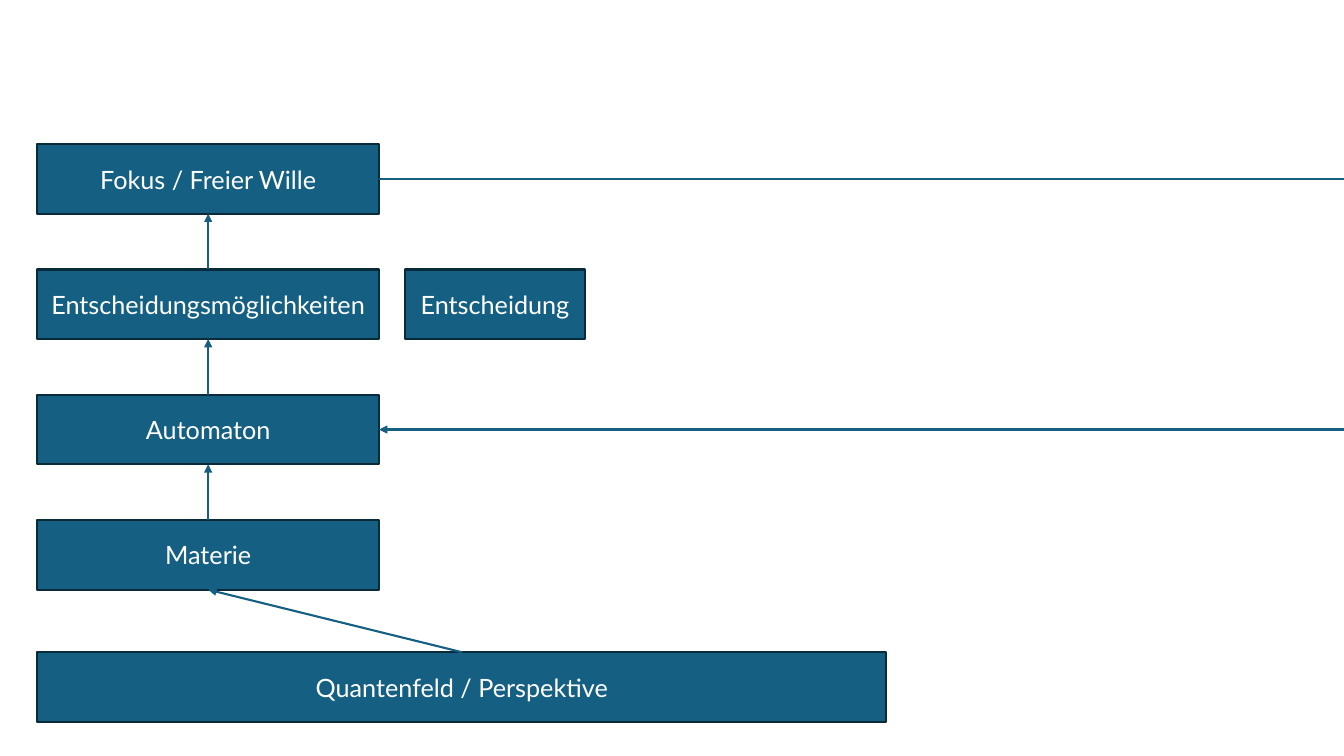
import itertools

import pptx
import pptx.dml.color
import pptx.enum.shapes
import pptx.enum.text
import pptx.oxml
import pptx.oxml.ns
import pptx.util

Inches = pptx.util.Inches
TOP, LEFT, BOTTOM, RIGHT = range(4)
SLIDE_W, SLIDE_H = 13.33, 7.5
BOX_H = 0.69
BLUE, NAVY, WHITE = "156082", "092A39", "FFFFFF"


def color(value):
    return pptx.dml.color.RGBColor.from_string(value)


def add_box(slide, text, left, top, width):
    sp = slide.shapes.add_shape(
        pptx.enum.shapes.MSO_SHAPE.RECTANGLE,
        Inches(left), Inches(top), Inches(width), Inches(BOX_H))
    sp.shadow.inherit = False
    sp.fill.solid()
    sp.fill.fore_color.rgb = color(BLUE)
    sp.line.color.rgb = color(NAVY)
    sp.line.width = pptx.util.Pt(1.5)
    tf = sp.text_frame
    tf.word_wrap = True
    tf.vertical_anchor = pptx.enum.text.MSO_ANCHOR.MIDDLE
    p = tf.paragraphs[0]
    p.text = text
    p.alignment = pptx.enum.text.PP_ALIGN.CENTER
    p.font.name = "Lato"
    p.font.size = pptx.util.Pt(18)
    p.font.color.rgb = color(WHITE)
    return sp


def add_line(slide, start=(0, 0), end=(0, 0), arrow=True):
    line = slide.shapes.add_connector(
        pptx.enum.shapes.MSO_CONNECTOR.STRAIGHT, *start, *end)
    line.line.color.rgb = color(BLUE)
    line.line.width = pptx.util.Pt(1.5)
    if arrow:
        tail = pptx.oxml.parse_xml(
            f'<a:tailEnd {pptx.oxml.ns.nsdecls("a")} type="triangle"/>')
        line.line._get_or_add_ln().append(tail)
    line._element.spPr.append(pptx.oxml.parse_xml(
        f'<a:effectLst {pptx.oxml.ns.nsdecls("a")}/>'))
    return line


def join_upward(slide, lower, upper):
    line = add_line(slide)
    line.begin_connect(lower, TOP)
    line.end_connect(upper, BOTTOM)


def add_levels(slide, names, left, top, width, height):
    pitch = (height - BOX_H) / (len(names) - 1)
    levels = [add_box(slide, name, left, top + i * pitch, width)
              for i, name in enumerate(names)]
    for upper, lower in itertools.pairwise(levels):
        join_upward(slide, lower, upper)
    return levels


def add_feedback(slide, source, target, edge):
    def edge_point(box):
        return Inches(edge), box.top + box.height // 2

    outgoing = add_line(slide, end=edge_point(source), arrow=False)
    outgoing.begin_connect(source, RIGHT)
    incoming = add_line(slide, start=edge_point(target))
    incoming.end_connect(target, RIGHT)


def main():
    prs = pptx.Presentation()
    prs.slide_width, prs.slide_height = Inches(SLIDE_W), Inches(SLIDE_H)
    slide = prs.slides.add_slide(prs.slide_layouts[6])

    names = ["Fokus / Freier Wille", "Entscheidungsmöglichkeiten",
             "Automaton", "Materie"]
    will, options, automaton, matter = add_levels(
        slide, names, 0.37, 1.43, 3.39, 4.42)
    add_box(slide, "Entscheidung", 4.02, options.top.inches, 1.78)
    add_feedback(slide, will, automaton, SLIDE_W)
    field = add_box(slide, "Quantenfeld / Perspektive", 0.37, 6.47, 8.42)
    join_upward(slide, field, matter)

    prs.save("out.pptx")


if __name__ == "__main__":
    main()
